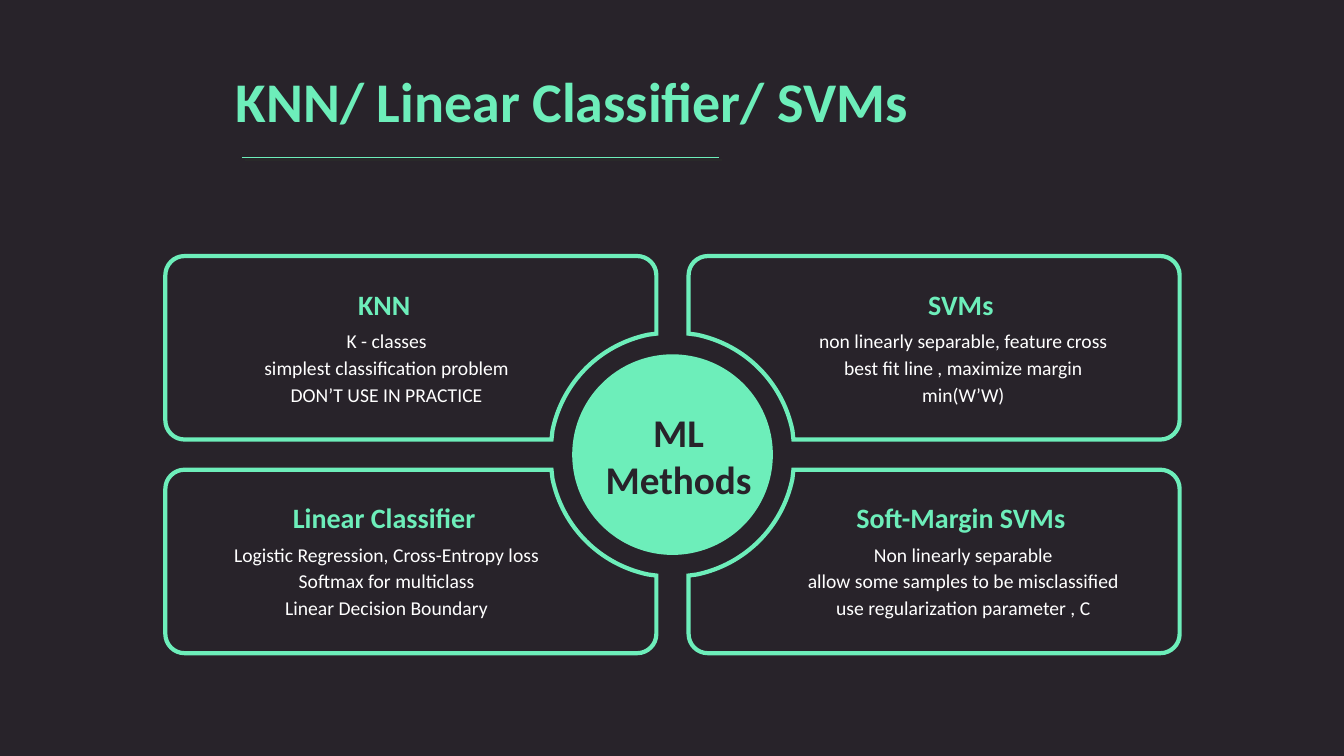
from lxml.etree import SubElement
from pptx import Presentation
from pptx.dml.color import RGBColor
from pptx.enum.shapes import MSO_CONNECTOR, MSO_SHAPE
from pptx.enum.text import MSO_ANCHOR, MSO_AUTO_SIZE, PP_ALIGN
from pptx.oxml.ns import qn
from pptx.util import Inches, Pt

MINT = RGBColor(0x6D, 0xEE, 0xBA)
DARK = RGBColor(0x28, 0x23, 0x2A)
WHITE = RGBColor(0xFF, 0xFF, 0xFF)
SHADOW = RGBColor(0x29, 0x29, 0x29)

# Panel geometry, measured outward from the hub centre
HUB_X, HUB_Y, HUB_SIZE = 6.67, 4.51, 1.99
NEAR_X, FAR_X = 0.16, 5.03
NEAR_Y, FAR_Y = 0.15, 1.97
CORNER = 0.19
HANDLE = 0.45 * CORNER

prs = Presentation()
prs.slide_width, prs.slide_height = Inches(13.33), Inches(7.5)
slide = prs.slides.add_slide(prs.slide_layouts[5])
slide.background.fill.solid()
slide.background.fill.fore_color.rgb = DARK


def write(text, left, top, width, height, *, size, color, bold=False,
          align=PP_ALIGN.CENTER, spacing=None, wrap=True, box=None):
    box = box or slide.shapes.add_textbox(0, 0, 0, 0)
    box.left, box.top = Inches(left), Inches(top)
    box.width, box.height = Inches(width), Inches(height)
    frame = box.text_frame
    frame.text = text
    frame.word_wrap = wrap
    frame.auto_size = MSO_AUTO_SIZE.SHAPE_TO_FIT_TEXT
    frame.vertical_anchor = MSO_ANCHOR.TOP
    for paragraph in frame.paragraphs:
        paragraph.alignment = align
        paragraph.line_spacing = spacing
        paragraph.font.name = "Calibri"
        paragraph.font.size = Pt(size)
        paragraph.font.bold = bold
        paragraph.font.color.rgb = color


# Title and underline with its offset shadow
write("KNN/ Linear Classifier/ SVMs", 2.24, 0.61, 6.88, 0.77, size=40, color=MINT,
      bold=True, align=PP_ALIGN.LEFT, wrap=False, box=slide.shapes.title)
underline = slide.shapes.add_connector(
    MSO_CONNECTOR.STRAIGHT, Inches(2.4), Inches(1.56), Inches(7.13), Inches(1.56))
underline.line.color.rgb = MINT
underline.line.width = Pt(0.75)
effects = SubElement(underline._element.spPr, qn("a:effectLst"))
shadow = SubElement(effects, qn("a:outerShdw"), dist=str(Pt(2.8)), dir="2700000",
                    algn="ctr", rotWithShape="0")
SubElement(shadow, qn("a:srgbClr"), val=str(SHADOW))

# Central hub
hub = slide.shapes.add_shape(
    MSO_SHAPE.OVAL, Inches(HUB_X - HUB_SIZE / 2), Inches(HUB_Y - HUB_SIZE / 2),
    Inches(HUB_SIZE), Inches(HUB_SIZE))
hub.shadow.inherit = False
hub.fill.solid()
hub.fill.fore_color.rgb = MINT
hub.line.fill.background()

# Outline steps: one point is a line, three points are a curve
outline = [
    [(NEAR_X + CORNER, FAR_Y)],
    [(FAR_X - CORNER, FAR_Y)],
    [(FAR_X - HANDLE, FAR_Y), (FAR_X, FAR_Y - HANDLE), (FAR_X, FAR_Y - CORNER)],
    [(FAR_X, NEAR_Y + CORNER)],
    [(FAR_X, NEAR_Y + HANDLE), (FAR_X - HANDLE, NEAR_Y), (FAR_X - CORNER, NEAR_Y)],
    [(1.2, NEAR_Y)],
    [(1.19, 0.24)],
    [(1.09, 0.72), (0.72, 1.09), (0.24, 1.19)],
    [(NEAR_X, 1.2)],
    [(NEAR_X, FAR_Y - CORNER)],
    [(NEAR_X, FAR_Y - HANDLE), (NEAR_X + HANDLE, FAR_Y), (NEAR_X + CORNER, FAR_Y)],
]

# Methods: horizontal side, vertical side, heading, details
methods = [
    (-1, -1, "KNN",
     "K - classes\nsimplest classification problem\nDON’T USE IN PRACTICE"),
    (1, -1, "SVMs",
     "non linearly separable, feature cross\nbest fit line , maximize margin\nmin(W’W)"),
    (-1, 1, "Linear Classifier",
     "Logistic Regression, Cross-Entropy loss\nSoftmax for multiclass\n"
     "Linear Decision Boundary"),
    (1, 1, "Soft-Margin SVMs",
     "Non linearly separable\nallow some samples to be misclassified\n"
     "use regularization parameter , C"),
]
for side_x, side_y, heading, details in methods:
    # Mirror the outline into this quadrant
    points = [(Inches(HUB_X + side_x * x), Inches(HUB_Y + side_y * y))
              for step in outline for x, y in step]
    builder = slide.shapes.build_freeform(*points[0])
    builder.add_line_segments(points[1:], close=True)
    panel = builder.convert_to_shape()
    panel.shadow.inherit = False
    panel.fill.background()
    panel.line.color.rgb = MINT
    panel.line.width = Pt(3)
    SubElement(panel.line._ln, qn("a:miter"), lim="800000")

    # Join each group of three points into a curve
    segments = iter(list(panel._element.iter(qn("a:lnTo"))))
    for step in outline[1:]:
        group = [next(segments) for _ in step]
        if len(group) == 3:
            curve = group[0]
            curve.addprevious(bezier := curve.makeelement(qn("a:cubicBezTo")))
            for segment in group:
                bezier.append(segment[0])
                segment.getparent().remove(segment)

    left = 2.15 if side_x < 0 else 7.87
    top = 2.8 if side_y < 0 else 4.92
    write(heading, left + 0.35, top, 2.62, 0.44, size=20, color=MINT, bold=True)
    write(details, left, top + 0.38, 3.37, 0.91, size=14, color=WHITE, spacing=1.14)

# Hub label
write("ML\nMethods", 5.42, 4, 2.62, 1.04, size=28, color=DARK, bold=True)

prs.save("out.pptx")
